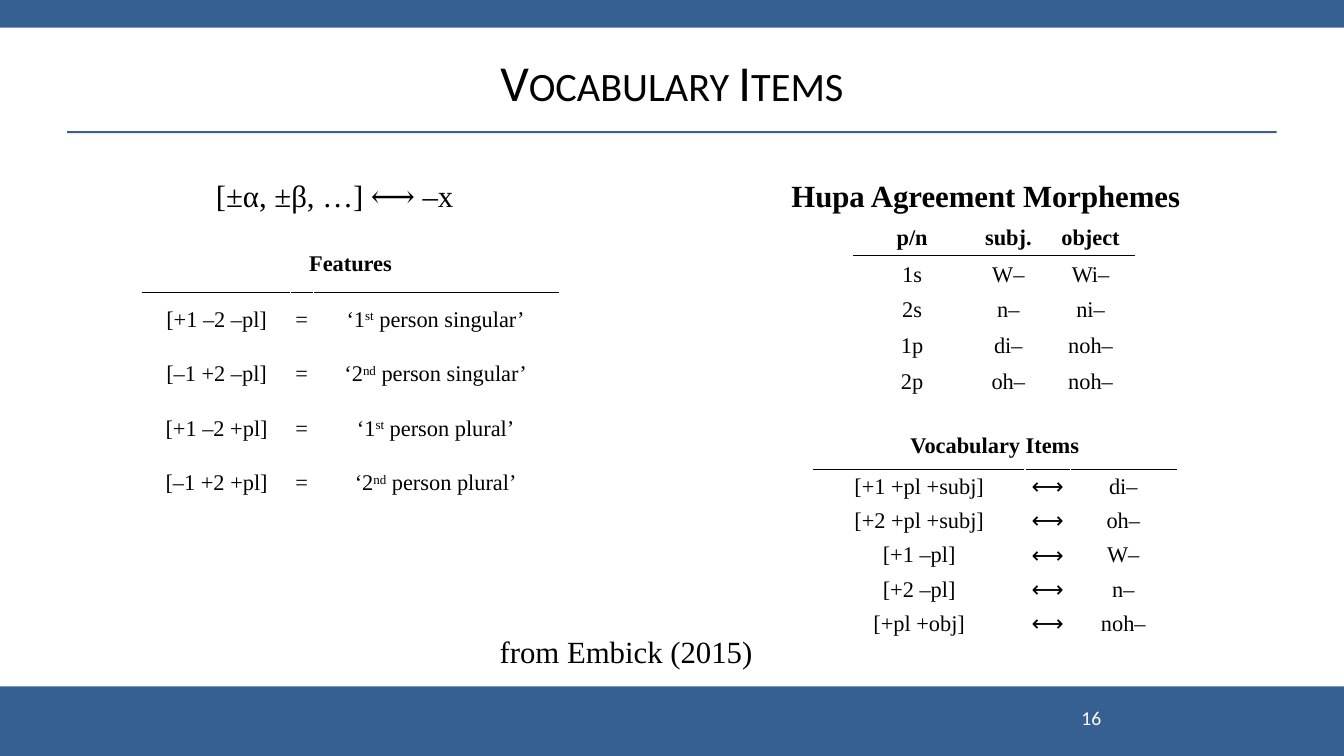
"""Build the slide on vocabulary items and Hupa agreement morphemes."""
from lxml import etree
from pptx import Presentation
from pptx.dml.color import RGBColor
from pptx.enum.shapes import MSO_SHAPE
from pptx.enum.text import MSO_ANCHOR, PP_ALIGN
from pptx.oxml.ns import qn
from pptx.util import Pt

RECT = MSO_SHAPE.RECTANGLE
TOP, MIDDLE, BOTTOM = MSO_ANCHOR.TOP, MSO_ANCHOR.MIDDLE, MSO_ANCHOR.BOTTOM
LEFT, CENTER = PP_ALIGN.LEFT, PP_ALIGN.CENTER
BLUE = RGBColor(0x37, 0x60, 0x92)
BLACK = RGBColor(0, 0, 0)
WHITE = RGBColor(255, 255, 255)
SERIF, SANS = "Times New Roman", "Calibri"


def write(frame, text, size, face=SERIF, color=BLACK, bold=False, align=CENTER):
    """Fill a frame with one paragraph; text between carets is raised."""
    para = frame.paragraphs[0]
    para.alignment = align
    for i, part in enumerate(text.split("^")):
        run = para.add_run()
        run.text = part
        font = run.font
        font.name, font.size, font.bold = face, Pt(size), bold
        font.color.rgb = color
        if i % 2:
            run._r.get_or_add_rPr().set("baseline", "30000")


def border(cell, side, color, width):
    """Draw one side of a table cell."""
    line = etree.SubElement(cell._tc.get_or_add_tcPr(), qn("a:ln" + side), w=str(Pt(width)))
    fill = etree.SubElement(line, qn("a:solidFill"))
    etree.SubElement(fill, qn("a:srgbClr"), val=str(color))


prs = Presentation()
prs.slide_width, prs.slide_height = Pt(960), Pt(540)
slide = prs.slides.add_slide(prs.slide_layouts[6])
shapes = slide.shapes

bars = [(0, 490.3, 960, 49.7), (0, 0, 960, 19.8), (48, 93.6, 864, 1.44)]
for box in bars:
    bar = shapes.add_shape(RECT, *map(Pt, box))
    bar.shadow.inherit = False
    bar.fill.solid()
    bar.fill.fore_color.rgb = BLUE
    bar.line.fill.background()

texts = [
    ((765.4, 500.4, 38.2, 28.8), "16", 14, SANS, WHITE, False, LEFT, TOP),
    ((125.3, 122.4, 227.5, 45.4), "[±α, ±β, …] ⟷ –x", 22, SERIF, BLACK, False, CENTER, TOP),
    ((48, 22.3, 864, 71.3), "Vocabulary Items", 36, SANS, BLACK, False, CENTER, MIDDLE),
    ((555.1, 122.4, 298.1, 33.8), "Hupa Agreement Morphemes", 22, SERIF, BLACK, True, CENTER, TOP),
    ((333.4, 448.6, 227.5, 45.4), "from Embick (2015)", 22, SERIF, BLACK, False, CENTER, TOP),
]
for box, text, size, face, color, bold, align, anchor in texts:
    frame = shapes.add_textbox(*map(Pt, box)).text_frame
    frame.word_wrap = True
    frame.vertical_anchor = anchor
    write(frame, text, size, face, color, bold, align)
    if anchor == MIDDLE:
        frame.paragraphs[0].runs[0]._r.get_or_add_rPr().set("cap", "small")

forms = [
    ("1s", "W–", "Wi–"),
    ("2s", "n–", "ni–"),
    ("1p", "di–", "noh–"),
    ("2p", "oh–", "noh–"),
]
items = [
    ("[+1 +pl +subj]", "⟷", "di–"),
    ("[+2 +pl +subj]", "⟷", "oh–"),
    ("[+1 –pl]", "⟷", "W–"),
    ("[+2 –pl]", "⟷", "n–"),
    ("[+pl +obj]", "⟷", "noh–"),
]
traits = [
    ("[+1 –2 –pl]", "=", "‘1^st^ person singular’"),
    ("[–1 +2 –pl]", "=", "‘2^nd^ person singular’"),
    ("[+1 –2 +pl]", "=", "‘1^st^ person plural’"),
    ("[–1 +2 +pl]", "=", "‘2^nd^ person plural’"),
]
tables = [
    (609.8, 157, (83.5, 54, 63.4), 25, 25, 3.2, BOTTOM, ("p/n", "subj.", "object"), forms),
    (581, 301.7, (151.2, 32.4, 75.6), 33.8, 24.5, 0, MIDDLE, ("Vocabulary Items",), items),
    (102.2, 167.8, (105.1, 16.6, 174.7), 41, 39, 0, MIDDLE, ("Features",), traits),
]
for left, top, widths, first, pitch, inset, anchor, head, body in tables:
    rows = [head] + body
    high = first + pitch * len(body)
    table = shapes.add_table(len(rows), 3, Pt(left), Pt(top), Pt(sum(widths)), Pt(high)).table
    table.first_row = table.horz_banding = False
    for col, width in zip(table.columns, widths):
        col.width = Pt(width)
    for r, row in enumerate(rows):
        table.rows[r].height = Pt(pitch if r else first)
        for c in range(3):
            cell = table.cell(r, c)
            for side in "LRTB":
                dark = (r, side) in ((0, "B"), (1, "T"))
                border(cell, side, BLACK if dark else WHITE, 0.75 if dark else 1)
            cell.fill.background()
            cell.margin_left = cell.margin_right = 0
            cell.margin_top = cell.margin_bottom = Pt(inset)
            cell.vertical_anchor = anchor if r else MIDDLE
            if c < len(row):
                face = SANS if row[c] == "⟷" else SERIF
                write(cell.text_frame, row[c], 16, face, bold=r == 0)
    if len(head) == 1:
        table.cell(0, 0).merge(table.cell(0, 2))

prs.save("out.pptx")
